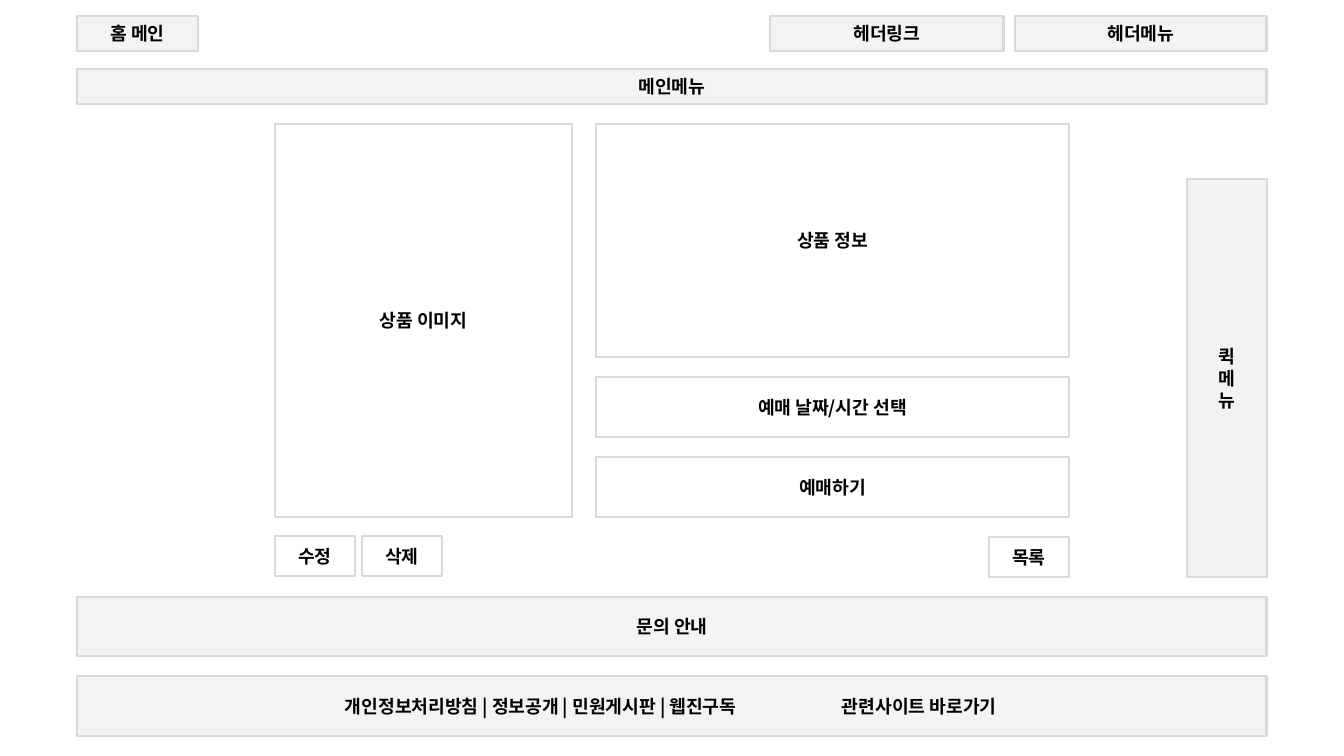
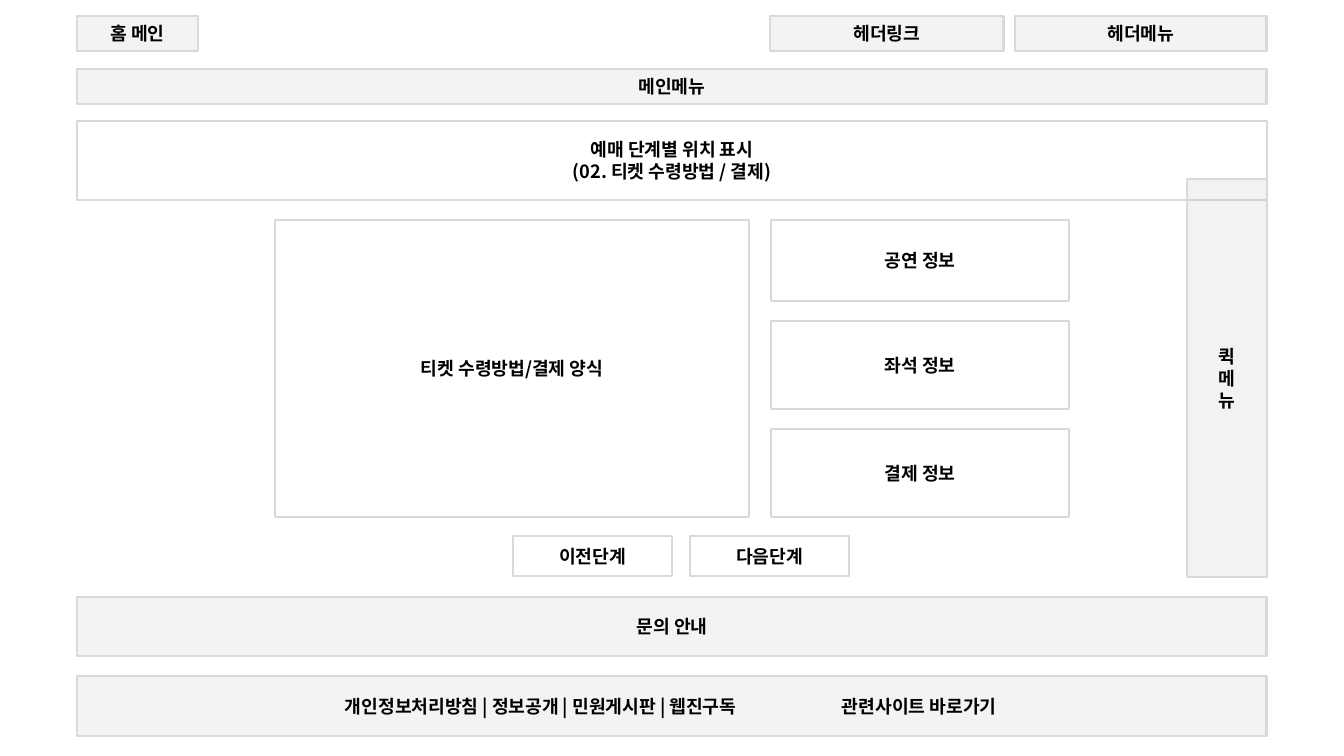
from dataclasses import dataclass

from lxml import etree
from pptx import Presentation
from pptx import util as u
from pptx.dml.color import RGBColor
from pptx.enum import shapes, text
from pptx.oxml.ns import qn

PX_PER_INCH = 100.8
PAGE_WIDTH, PAGE_HEIGHT = 1344, 756
LEFT, FULL_WIDTH = 77, 1190
CONTENT_LEFT, CONTENT_RIGHT = 275, 1069
GAP = 20
BUTTON_TOP, BUTTON_HEIGHT = 536, 40


def px(length):
    return u.Inches(length / PX_PER_INCH)


@dataclass(frozen=True)
class Theme:
    font: str = "Noto Sans CJK KR"
    size: int = 13
    ink: str = "000000"
    border: str = "D9D9D9"
    band: tuple = ("D9D9D9", 30, 2)
    quick: tuple = ("BFBFBF", 20, 2)
    panel: tuple = ("FFFFFF", 100, 1)


def apply(target, values):
    for name, value in values.items():
        setattr(target, name, value)


class Wireframe:
    def __init__(self, theme):
        self.theme = theme
        self.presentation = Presentation()
        apply(self.presentation, {"slide_width": px(PAGE_WIDTH), "slide_height": px(PAGE_HEIGHT)})
        self.slide = None

    def new_slide(self):
        self.slide = self.presentation.slides.add_slide(self.presentation.slide_layouts[6])

    def box(self, label, left, top, width, height, look=None):
        color, opacity, border_width = look or self.theme.panel
        shape = self.slide.shapes.add_shape(
            shapes.MSO_SHAPE.RECTANGLE, px(left), px(top), px(width), px(height))
        shape.shadow.inherit = False
        shape.fill.solid()
        shape.fill.fore_color.rgb = RGBColor.from_string(color)
        if opacity < 100:
            tint = shape.fill._xPr.find(qn("a:solidFill"))[0]
            etree.SubElement(tint, qn("a:alpha"), val=str(opacity * 1000))
        shape.line.color.rgb = RGBColor.from_string(self.theme.border)
        shape.line.width = u.Pt(border_width)
        frame = shape.text_frame
        apply(frame, {"text": label, "word_wrap": True,
                      "vertical_anchor": text.MSO_ANCHOR.MIDDLE})
        for paragraph in frame.paragraphs:
            paragraph.alignment = text.PP_ALIGN.CENTER
            for run in paragraph.runs:
                self.style(run)
        return shape

    def style(self, run):
        apply(run.font, {"name": self.theme.font, "size": u.Pt(self.theme.size), "bold": True})
        run.font.color.rgb = RGBColor.from_string(self.theme.ink)
        etree.SubElement(run.font._element, qn("a:ea"), typeface=self.theme.font)

    def band(self, label, left, top, width, height):
        return self.box(label, left, top, width, height, self.theme.band)

    def row(self, left, top, height, gap, items, look=None):
        for label, width in items:
            self.box(label, left, top, width, height, look)
            left += width + gap

    def column(self, left, top, width, items):
        for label, height in items:
            self.box(label, left, top, width, height)
            top += height + GAP

    def footer(self, links, related, text_left, related_left):
        shape = self.band(f"{' | '.join(links)}\t{related}", LEFT, 676, FULL_WIDTH, 60)
        shape.text_frame.margin_left = px(text_left - LEFT)
        paragraph = shape.text_frame.paragraphs[0]
        paragraph.alignment = text.PP_ALIGN.LEFT
        tabs = etree.SubElement(paragraph._p.get_or_add_pPr(), qn("a:tabLst"))
        etree.SubElement(tabs, qn("a:tab"), pos=str(px(related_left - text_left)), algn="l")

    def site_frame(self):
        self.band("메인메뉴", LEFT, 69, FULL_WIDTH, 35)
        self.band("홈 메인", LEFT, 16, 121, 35)
        self.row(770, 16, 35, 11, [("헤더링크", 234), ("헤더메뉴", 252)], self.theme.band)
        self.band("문의 안내", LEFT, 597, FULL_WIDTH, 59)
        self.footer(["개인정보처리방침", "정보공개", "민원게시판", "웹진구독"],
                    "관련사이트 바로가기", 345, 842)
        self.box("퀵\n메\n뉴", 1187, 179, 80, 398, self.theme.quick)


def product_slide(wireframe):
    wireframe.new_slide()
    wireframe.site_frame()
    wireframe.box("상품 이미지", CONTENT_LEFT, 124, 297, 393)
    wireframe.column(596, 124, CONTENT_RIGHT - 596,
                     [("상품 정보", 233), ("예매 날짜/시간 선택", 60), ("예매하기", 60)])
    wireframe.row(CONTENT_LEFT, BUTTON_TOP, BUTTON_HEIGHT, 7, [("수정", 80), ("삭제", 80)])
    wireframe.box("목록", CONTENT_RIGHT - 80, BUTTON_TOP + 1, 80, BUTTON_HEIGHT)


def payment_slide(wireframe):
    wireframe.new_slide()
    wireframe.box("예매 단계별 위치 표시\n(02. 티켓 수령방법 / 결제)", LEFT, 121, FULL_WIDTH, 79)
    wireframe.site_frame()
    wireframe.box("티켓 수령방법/결제 양식", CONTENT_LEFT, 220, 474, 297)
    wireframe.column(771, 220, CONTENT_RIGHT - 771,
                     [("공연 정보", 81), ("좌석 정보", 88), ("결제 정보", 88)])
    wireframe.row(513, BUTTON_TOP, BUTTON_HEIGHT, 18, [("이전단계", 159), ("다음단계", 159)])


def main():
    wireframe = Wireframe(Theme())
    product_slide(wireframe)
    payment_slide(wireframe)
    wireframe.presentation.save("out.pptx")


if __name__ == "__main__":
    main()
